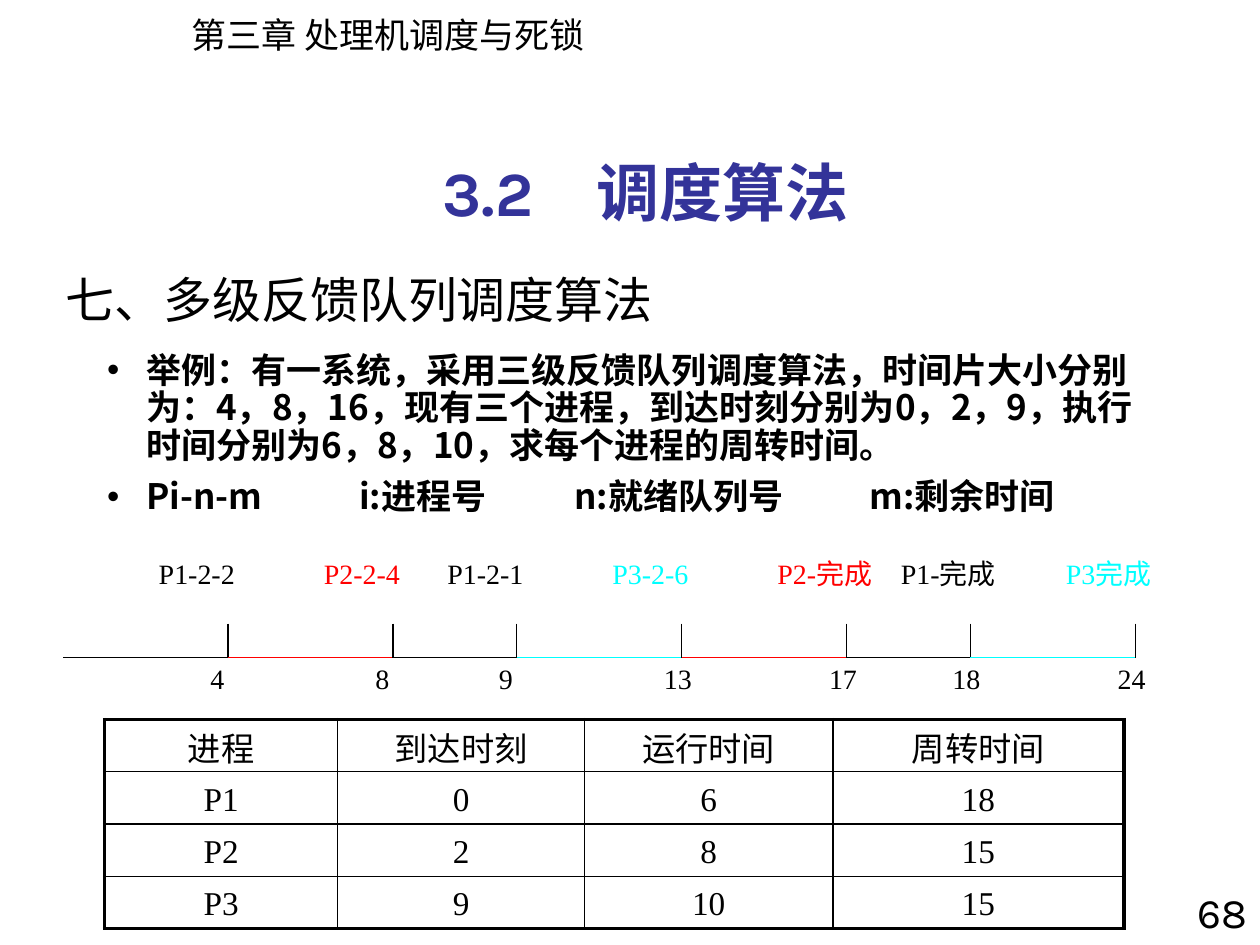
from lxml import etree
from pptx import Presentation
from pptx.dml.color import RGBColor
from pptx.enum.shapes import MSO_CONNECTOR
from pptx.enum.text import MSO_ANCHOR, MSO_AUTO_SIZE, PP_ALIGN
from pptx.oxml.ns import qn
from pptx.util import Inches, Pt

LEFT, CENTER, RIGHT = PP_ALIGN.LEFT, PP_ALIGN.CENTER, PP_ALIGN.RIGHT
JUSTIFY = PP_ALIGN.JUSTIFY
MIDDLE, TOP = MSO_ANCHOR.MIDDLE, MSO_ANCHOR.TOP
NO_AUTOFIT = MSO_AUTO_SIZE.NONE
STRAIGHT = MSO_CONNECTOR.STRAIGHT

BLACK, RED, CYAN, INDIGO = "000000", "FF0000", "00FFFF", "333399"
SANS, SANS_JP = "Noto Sans CJK SC", "Noto Sans CJK JP"
SERIF, KARLA = "Times New Roman", "Karla"

PROCESS_COLORS = {"P1": BLACK, "P2": RED, "P3": CYAN}
LONG_STEP, SHORT_STEP = 1.31, 0.98
TIMELINE_START, TIMELINE_Y, TICK_TOP = 0.5, 5.22, 4.95
TIMELINE_RIGHT = 9.34
EVENTS = [
    (LONG_STEP, "P1-2-2", "4"),
    (LONG_STEP, "P2-2-4", "8"),
    (SHORT_STEP, "P1-2-1", "9"),
    (LONG_STEP, "P3-2-6", "13"),
    (LONG_STEP, "P2-完成", "17"),
    (SHORT_STEP, "P1-完成", "18"),
    (LONG_STEP, "P3完成", "24"),
]
PROCESS_ROWS = [
    ["进程", "到达时刻", "运行时间", "周转时间"],
    ["P1", "0", "6", "18"],
    ["P2", "2", "8", "15"],
    ["P3", "9", "10", "15"],
]
COLUMN_WIDTHS = [1.85, 1.96, 1.97, 2.31]
BULLETS = [
    "举例：有一系统，采用三级反馈队列调度算法，时间片大小分别为：4，8，16，"
    "现有三个进程，到达时刻分别为0，2，9，执行时间分别为6，8，10，"
    "求每个进程的周转时间。",
    "Pi-n-m\ti:进程号\tn:就绪队列号\tm:剩余时间",
]
BULLET_TABS = [2, 3.71, 6.05]


def color(value):
    return RGBColor.from_string(value)


class SlideBuilder:
    def __init__(self, slide):
        self.slide = slide

    def style(self, paragraph, size, font, fill=BLACK, bold=False, align=LEFT):
        paragraph.alignment = align
        paragraph.font.size = Pt(size)
        paragraph.font.bold = bold
        paragraph.font.color.rgb = color(fill)
        paragraph.font.name = font
        properties = paragraph._p.pPr.find(qn("a:defRPr"))
        east_asian = font if font in (SANS, SANS_JP) else SANS
        etree.SubElement(properties, qn("a:ea")).set("typeface", east_asian)

    def place(self, shape, left, top, width, height):
        shape.left, shape.top = Inches(left), Inches(top)
        shape.width, shape.height = Inches(width), Inches(height)

    def title(self, text, *box):
        shape = self.slide.shapes.title
        self.place(shape, *box)
        frame = shape.text_frame
        frame.auto_size = NO_AUTOFIT
        frame.vertical_anchor = MIDDLE
        frame.text = text
        self.style(frame.paragraphs[0], 28, SANS)

    def bullets(self, items, *box):
        shape = self.slide.placeholders[1]
        self.place(shape, *box)
        frame = shape.text_frame
        frame.auto_size = NO_AUTOFIT
        frame.vertical_anchor = TOP
        frame.text = "\n".join(items)
        for index, paragraph in enumerate(frame.paragraphs):
            paragraph.line_spacing = 0.9
            paragraph.space_before = Pt(7.5 if index else 0)
            properties = paragraph._p.get_or_add_pPr()
            properties.set("marL", str(Inches(0.31)))
            properties.set("indent", str(Inches(-0.31)))
            etree.SubElement(properties, qn("a:buChar")).set("char", "•")
            tabs = etree.SubElement(properties, qn("a:tabLst"))
            for position in BULLET_TABS:
                tab = etree.SubElement(tabs, qn("a:tab"))
                tab.set("pos", str(Inches(position)))
                tab.set("algn", "l")
            self.style(paragraph, 20, SANS, bold=True)

    def text(self, text, left, top, width, height, size, font, fill=BLACK,
             bold=False, align=LEFT, inset=True, wrap=True):
        box = self.slide.shapes.add_textbox(
            Inches(left), Inches(top), Inches(width), Inches(height))
        frame = box.text_frame
        frame.word_wrap = wrap
        if not inset:
            frame.margin_left = frame.margin_right = 0
            frame.margin_top = frame.margin_bottom = 0
        frame.text = text
        self.style(frame.paragraphs[0], size, font, fill, bold, align)

    def line(self, x1, y1, x2, y2, fill=BLACK):
        connector = self.slide.shapes.add_connector(
            STRAIGHT, Inches(x1), Inches(y1), Inches(x2), Inches(y2))
        connector.line.color.rgb = color(fill)
        connector.line.width = Pt(0.75)
        etree.SubElement(connector._element.spPr, qn("a:effectLst"))

    def borders(self, cell, widths):
        properties = cell._tc.get_or_add_tcPr()
        for index, (side, width) in enumerate(widths.items()):
            border = etree.Element(qn(f"a:ln{side}"), w=str(Pt(width)))
            fill = etree.SubElement(border, qn("a:solidFill"))
            etree.SubElement(fill, qn("a:srgbClr")).set("val", BLACK)
            properties.insert(index, border)

    def table(self, rows, column_widths, left, top, height):
        last_row, last_column = len(rows) - 1, len(column_widths) - 1
        table = self.slide.shapes.add_table(
            len(rows), len(column_widths), Inches(left), Inches(top),
            Inches(sum(column_widths)), Inches(height)).table
        table.first_row = table.horz_banding = False
        for column, width in zip(table.columns, column_widths):
            column.width = Inches(width)
        for row_index, row in enumerate(rows):
            for column_index, text in enumerate(row):
                cell = table.cell(row_index, column_index)
                cell.fill.background()
                cell.vertical_anchor = MIDDLE
                cell.margin_top, cell.margin_bottom = Inches(0.03), 0
                cell.text = text
                self.style(cell.text_frame.paragraphs[0], 19, SERIF, align=CENTER)
                self.borders(cell, {
                    "L": 2.25 if column_index == 0 else 1,
                    "R": 2.25 if column_index == last_column else 1,
                    "T": 2.25 if row_index == 0 else 1,
                    "B": 2.25 if row_index == last_row else 1,
                })

    def timeline(self, events):
        start = TIMELINE_START
        for step, label, time in events:
            end = start + step
            fill = PROCESS_COLORS[label[:2]]
            label_left = end - 0.55
            label_width = min(LONG_STEP, TIMELINE_RIGHT - label_left)
            self.line(start, TIMELINE_Y, end, TIMELINE_Y, fill)
            self.line(end, TICK_TOP, end, TIMELINE_Y)
            self.text(label, label_left, 4.42, label_width, 0.53, 16, SERIF,
                      fill, align=JUSTIFY, inset=False)
            self.text(time, end - 0.14, 5.25, 0.33, 0.53, 16, SERIF,
                      align=JUSTIFY, inset=False)
            start = end


def main():
    presentation = Presentation()
    presentation.slide_width, presentation.slide_height = Inches(10), Inches(7.5)
    slide = presentation.slides.add_slide(presentation.slide_layouts[1])
    builder = SlideBuilder(slide)
    builder.text("第三章 处理机调度与死锁", 1.42, 0.06, 3.38, 0.44, 20, SANS_JP,
                 wrap=False)
    builder.title("七、多级反馈队列调度算法", 0.42, 2, 9, 0.75)
    builder.bullets(BULLETS, 0.75, 2.75, 8.46, 2.25)
    builder.text("68", 9.33, 6.99, 0.67, 0.56, 24, KARLA, align=RIGHT)
    builder.timeline(EVENTS)
    builder.table(PROCESS_ROWS, COLUMN_WIDTHS, 0.83, 5.71, 1.66)
    builder.text("3.2\u3000调度算法".replace("\u3000", "　"), 0.5, 1.17, 9.25, 0.7,
                 36, KARLA, INDIGO, bold=True, align=CENTER)
    presentation.save("out.pptx")


if __name__ == "__main__":
    main()
